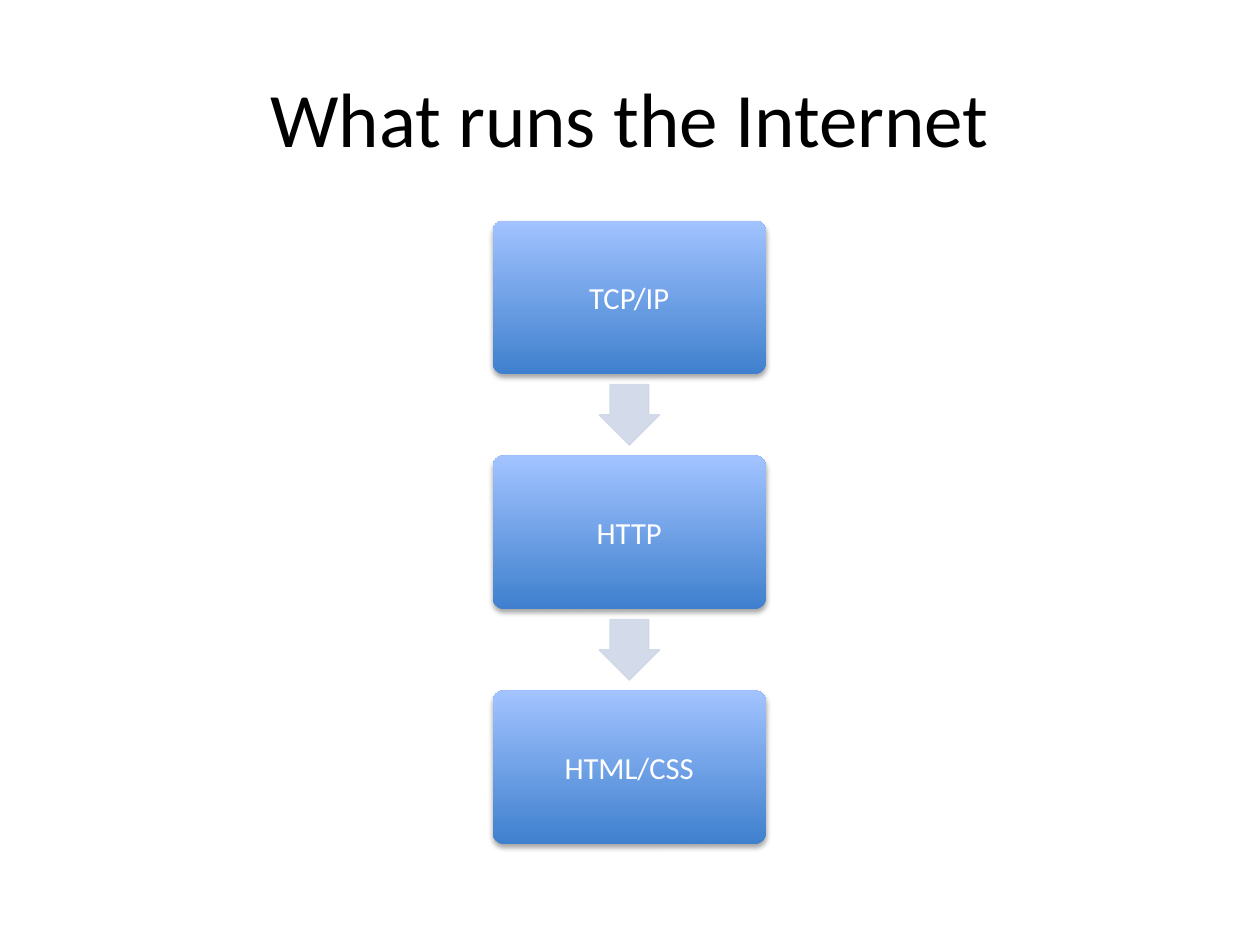
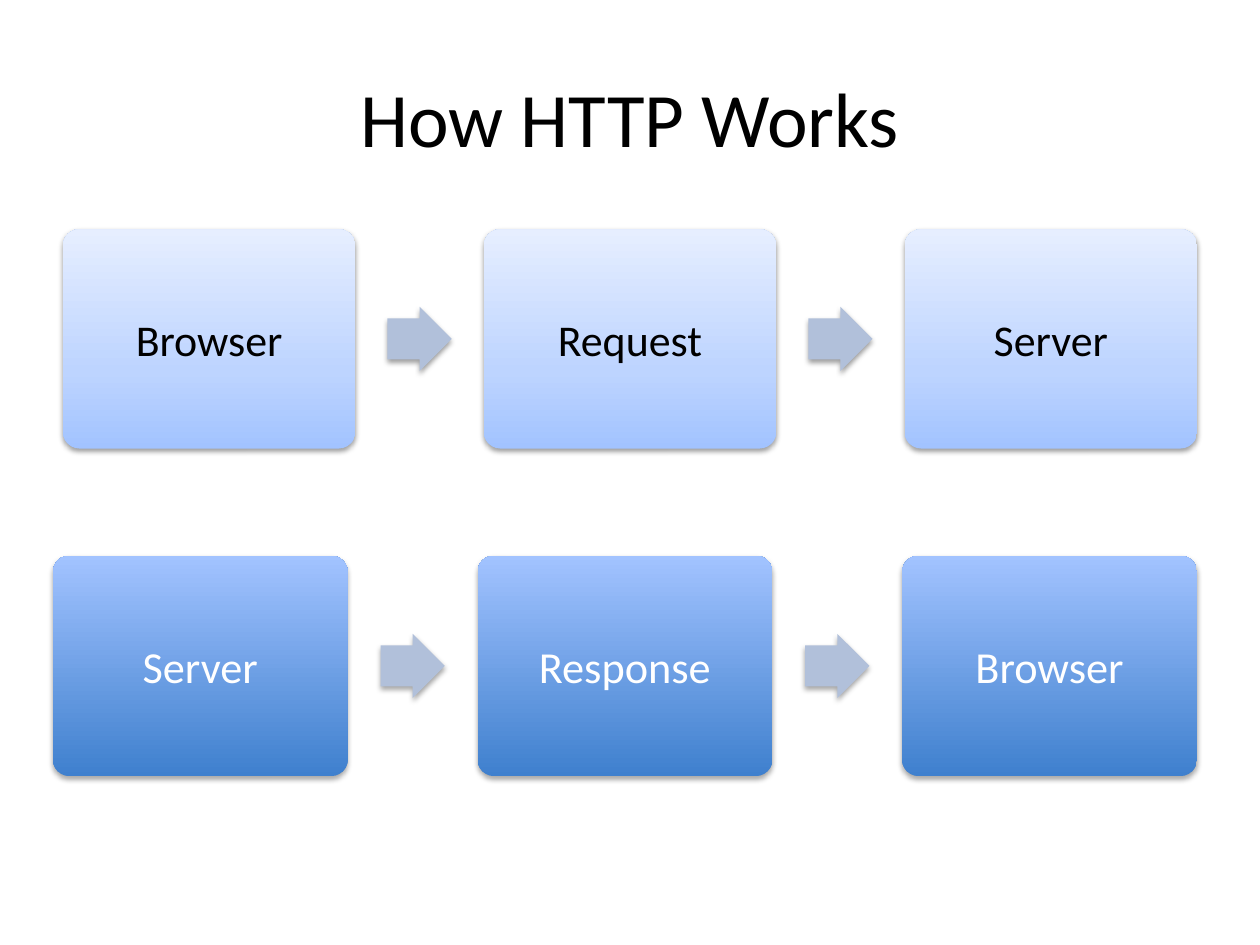
from dataclasses import dataclass

from lxml import etree
from pptx import Presentation
from pptx.dml.color import RGBColor
from pptx.enum import shapes, text
from pptx.oxml import ns
from pptx.util import Inches, Pt


@dataclass(frozen=True)
class Theme:
    font: str = "Calibri"
    title_size: float = 44
    title_color: str = "000000"
    title_area: tuple = (0.5, 0.3, 9, 1.25)
    inset: float = 0.05
    corner: float = 0.075
    arrow_shape: tuple = (0.64, 0.5)


THEME = Theme()

# Gradient stops run from the bottom of a box to its top.
DEEP = {"stops": [(0, "3F80CE"), (100, "A2C3FF")], "text": "FFFFFF",
        "shadow": {"opacity": 35, "distance": 1.8}}
PALE = {"stops": [(0, "A2C3FF"), (35, "BDD4FF"), (100, "E6EEFF")], "text": "000000",
        "shadow": {"opacity": 38, "distance": 1.6}}
FLAT_ARROW = {"color": "CFD7E7", "opacity": 90, "size": 0.48, "raised": False}
RAISED_ARROW = {"color": "B1C0DA", "opacity": 100, "size": 0.51, "raised": True}

# area: left, top, width, height of the whole flow; box: width, height of one step.
SLIDES = [
    ("What runs the Internet", [
        {"steps": ["TCP/IP", "HTTP", "HTML/CSS"], "area": (3.91, 1.75, 2.17, 4.95),
         "box": (2.17, 1.22), "size": 17.5, "style": DEEP, "arrow": FLAT_ARROW},
    ]),
    ("How HTTP Works", [
        {"steps": ["Browser", "Request", "Server"], "area": (0.5, 1.82, 9, 1.74),
         "box": (2.32, 1.74), "size": 25.1, "style": PALE, "arrow": RAISED_ARROW},
        {"steps": ["Server", "Response", "Browser"], "area": (0.42, 4.41, 9.08, 1.75),
         "box": (2.34, 1.75), "size": 25.3, "style": DEEP, "arrow": RAISED_ARROW},
    ]),
]


def add_child(parent, tag, **attributes):
    child = etree.SubElement(parent, ns.qn(tag))
    for name, value in attributes.items():
        child.set(name, str(value))
    return child


def add_color(parent, color, opacity=100):
    node = add_child(parent, "a:srgbClr", val=color)
    if opacity < 100:
        add_child(node, "a:alpha", val=opacity * 1000)


def set_gradient(shape, stops):
    properties = shape._element.spPr
    gradient = etree.Element(ns.qn("a:gradFill"), rotWithShape="1")
    stop_list = add_child(gradient, "a:gsLst")
    for position, color in stops:
        add_color(add_child(stop_list, "a:gs", pos=position * 1000), color)
    add_child(gradient, "a:lin", ang=270 * 60000, scaled=0)
    properties.find(ns.qn("a:prstGeom")).addnext(gradient)


def set_shadow(shape, opacity, distance):
    effects = shape._element.spPr.find(ns.qn("a:effectLst"))
    shadow = add_child(effects, "a:outerShdw", blurRad=Pt(3), dist=Pt(distance),
                       dir=90 * 60000, rotWithShape=0)
    add_color(shadow, "000000", opacity)


def write(shape, words, size, color):
    frame = shape.text_frame
    frame.word_wrap = True
    frame.vertical_anchor = text.MSO_ANCHOR.MIDDLE
    frame.margin_left = frame.margin_right = Inches(THEME.inset)
    frame.margin_top = frame.margin_bottom = Inches(THEME.inset)
    para = frame.paragraphs[0]
    para.text = words
    para.alignment = text.PP_ALIGN.CENTER
    para.font.name = THEME.font
    para.font.size = Pt(size)
    para.font.color.rgb = RGBColor.from_string(color)


def add_preset(slide, kind, center, size, adjustments):
    """Add an outlined-free, shadow-free preset shape around its center."""
    (x, y), (width, height) = center, size
    shape = slide.shapes.add_shape(kind, Inches(x - width / 2), Inches(y - height / 2),
                                   Inches(width), Inches(height))
    for index, value in enumerate(adjustments):
        shape.adjustments[index] = value
    shape.line.fill.background()
    shape.shadow.inherit = False
    return shape


def add_box(slide, center, words, flow):
    style = flow["style"]
    box = add_preset(slide, shapes.MSO_SHAPE.ROUNDED_RECTANGLE, center, flow["box"],
                     [THEME.corner])
    set_gradient(box, style["stops"])
    set_shadow(box, **style["shadow"])
    write(box, words, flow["size"], style["text"])


def add_arrow(slide, center, flow, rotation):
    look = flow["arrow"]
    arrow = add_preset(slide, shapes.MSO_SHAPE.RIGHT_ARROW, center, (look["size"],) * 2,
                       THEME.arrow_shape)
    arrow.rotation = rotation
    fills = [arrow.fill]
    if look["raised"]:
        set_shadow(arrow, **flow["style"]["shadow"])
    else:
        arrow.line.width = Pt(0.75)
        fills.append(arrow.line.fill)
    for fill in fills:
        fill.solid()
        fill.fore_color.rgb = RGBColor.from_string(look["color"])
    for color in arrow._element.spPr.iter(ns.qn("a:srgbClr")):
        if color.get("val") == look["color"] and look["opacity"] < 100:
            add_child(color, "a:alpha", val=look["opacity"] * 1000)


def add_flow(slide, flow):
    """Spread the boxes evenly over the area, with an arrow in each gap."""
    left, top, width, height = flow["area"]
    box_width, box_height = flow["box"]
    gaps = len(flow["steps"]) - 1
    step_x, step_y = (width - box_width) / gaps, (height - box_height) / gaps
    first_x, first_y = left + box_width / 2, top + box_height / 2

    def center(index):
        return first_x + index * step_x, first_y + index * step_y

    for index, words in enumerate(flow["steps"]):
        add_box(slide, center(index), words, flow)
        if index < gaps:
            add_arrow(slide, center(index + 0.5), flow, 90 if step_y > step_x else 0)


def main():
    deck = Presentation()
    deck.slide_width, deck.slide_height = Inches(10), Inches(7.5)
    for title, flows in SLIDES:
        slide = deck.slides.add_slide(deck.slide_layouts[6])
        title_box = slide.shapes.add_textbox(*map(Inches, THEME.title_area))
        write(title_box, title, THEME.title_size, THEME.title_color)
        for flow in flows:
            add_flow(slide, flow)
    deck.save("out.pptx")


if __name__ == "__main__":
    main()
